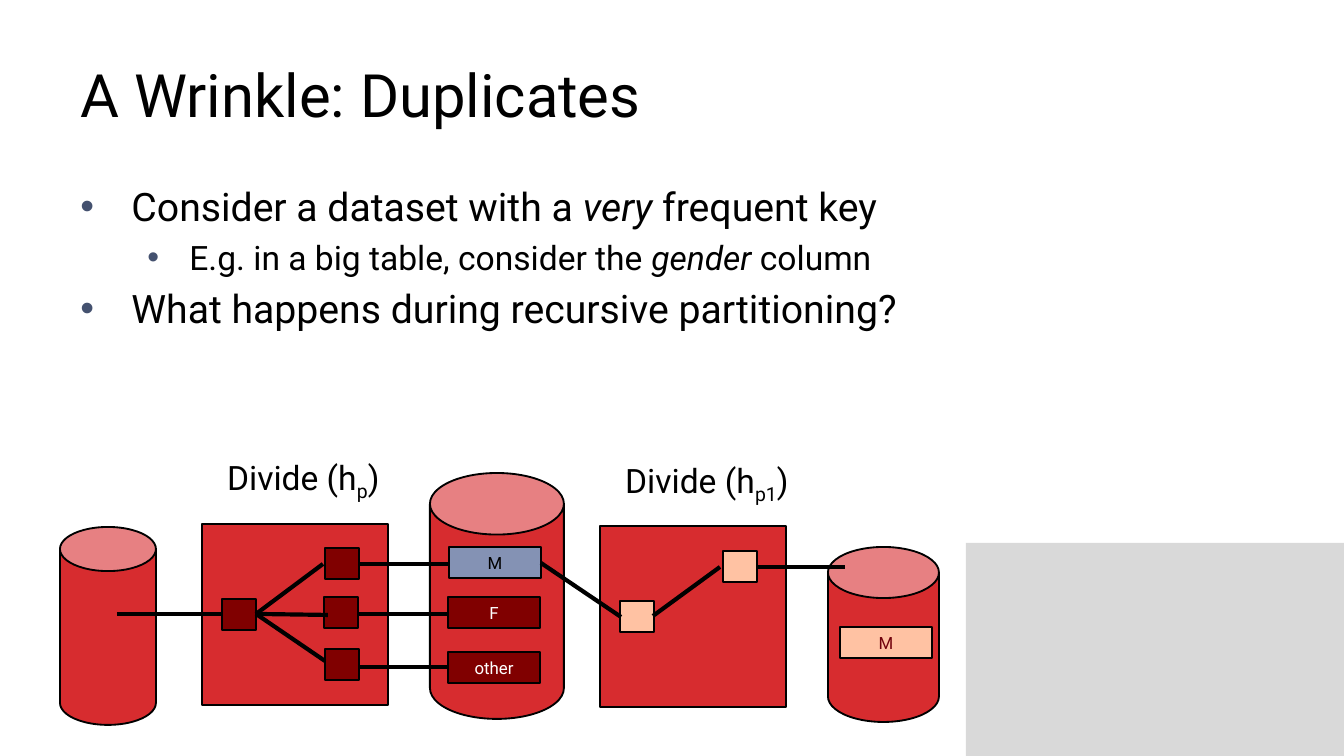
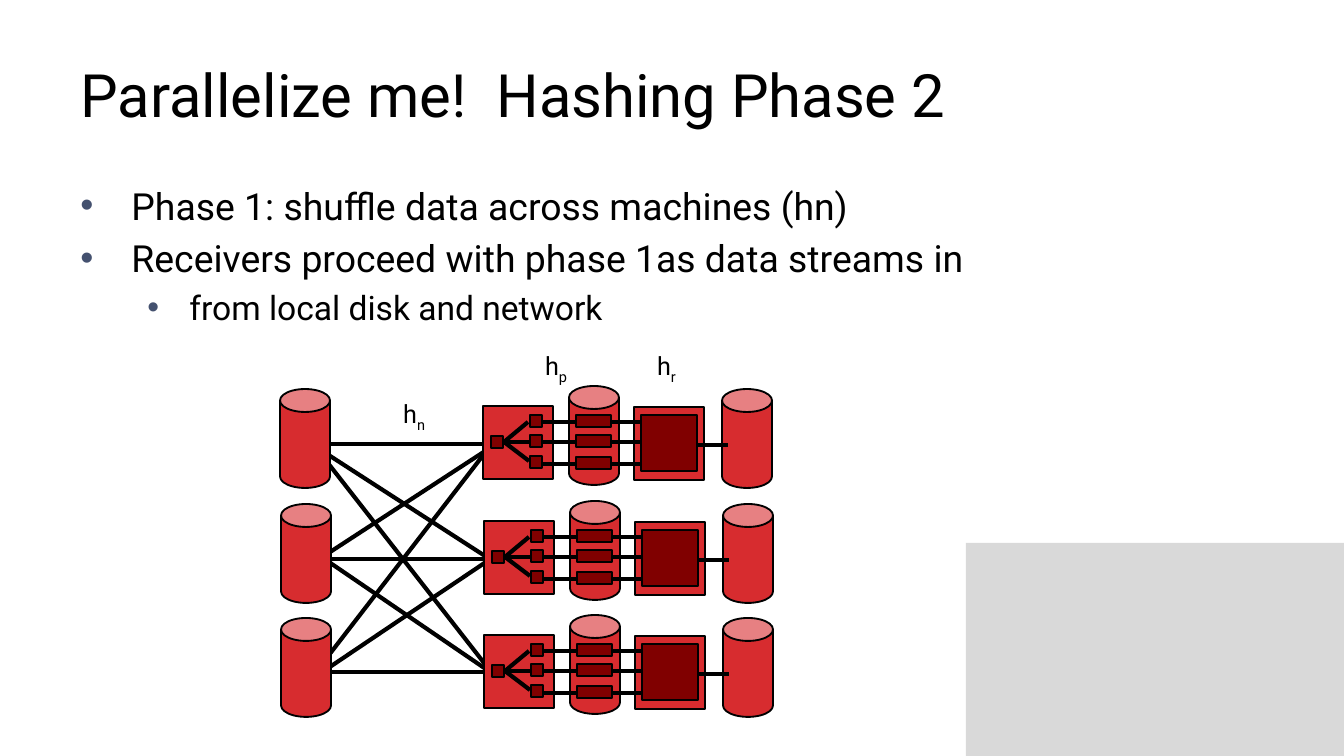
import pptx
import pptx.util
from pptx.dml.color import RGBColor
from pptx.enum.shapes import MSO_CONNECTOR, MSO_SHAPE
from pptx.enum.text import MSO_ANCHOR, MSO_AUTO_SIZE, PP_ALIGN
from pptx.oxml.ns import qn
from lxml import etree

SCALE = 914400 / 134.4
FONT = "Roboto"
BLACK = RGBColor(0x00, 0x00, 0x00)
WHITE = RGBColor(0xFF, 0xFF, 0xFF)
RED = RGBColor(0xD7, 0x2C, 0x2F)
MAROON = RGBColor(0x80, 0x00, 0x00)
WINE = RGBColor(0x71, 0x01, 0x0C)
PEACH = RGBColor(0xFF, 0xC2, 0xA3)
SLATE = RGBColor(0x84, 0x92, 0xB4)
BULLET = RGBColor(0x44, 0x51, 0x6F)
GREY = RGBColor(0xD9, 0xD9, 0xD9)

TITLE_BOX = (67, 31, 1210, 126)
BODY_BOX = (67, 176, 1210, 499)
INDENTS = [(51, -51), (109, -42)]


def px(n):
    """Turn picture pixels into EMU."""
    return pptx.util.Emu(round(n * SCALE))


def write(p, text, size=18, color=BLACK, italic=None, sub=False):
    """Add one formatted run to a paragraph."""
    r = p.add_run()
    r.text = text
    r.font.name = FONT
    r.font.size = pptx.util.Pt(size)
    r.font.color.rgb = color
    r.font.italic = italic
    if sub:
        r._r.get_or_add_rPr().set("baseline", "-25000")


def block(shapes, kind, box, fill, line=BLACK):
    """Add a filled preset shape, outlined unless line is None."""
    sp = shapes.add_shape(kind, *map(px, box))
    sp.shadow.inherit = False
    sp.fill.solid()
    sp.fill.fore_color.rgb = fill
    if line is None:
        sp.line.fill.background()
    else:
        sp.line.color.rgb = line
        sp.line.width = pptx.util.Pt(1)
    return sp


def rect(shapes, box, fill):
    """Add an outlined rectangle."""
    return block(shapes, MSO_SHAPE.RECTANGLE, box, fill)


def disk(shapes, box):
    """Add a red storage cylinder."""
    sp = block(shapes, MSO_SHAPE.CAN, box, RED)
    sp.adjustments[0] = 0.46


def partition(shapes, box, fill, text, color):
    """Add a partition rectangle with a centred label."""
    tf = rect(shapes, box, fill).text_frame
    tf.word_wrap = False
    tf.vertical_anchor = MSO_ANCHOR.MIDDLE
    p = tf.paragraphs[0]
    p.alignment = PP_ALIGN.CENTER
    write(p, text, size=9, color=color)


def wire(shapes, x1, y1, x2, y2):
    """Add a thick black straight connector."""
    c = shapes.add_connector(MSO_CONNECTOR.STRAIGHT, px(x1), px(y1), px(x2), px(y2))
    c.line.color.rgb = BLACK
    c.line.width = pptx.util.Pt(2.25)
    etree.SubElement(c.element.spPr, qn("a:effectLst"))


def hash_label(shapes, box, before, sub, after="", size=18):
    """Add a text box naming a hash function with its subscript."""
    tf = shapes.add_textbox(*map(px, box)).text_frame
    tf.word_wrap = False
    tf.auto_size = MSO_AUTO_SIZE.SHAPE_TO_FIT_TEXT
    p = tf.paragraphs[0]
    write(p, before, size=size)
    write(p, sub, size=size, sub=True)
    if after:
        write(p, after, size=size)


def set_bullet(p, level):
    """Give a paragraph its level, hanging indent and coloured bullet."""
    p.level = level
    pPr = p._p.get_or_add_pPr()
    left, hang = INDENTS[level]
    pPr.set("marL", str(px(left)))
    pPr.set("indent", str(px(hang)))
    spacing = etree.SubElement(pPr, qn("a:spcBef"))
    etree.SubElement(spacing, qn("a:spcPct")).set("val", "20000")
    color = etree.SubElement(pPr, qn("a:buClr"))
    etree.SubElement(color, qn("a:srgbClr")).set("val", str(BULLET))
    etree.SubElement(pPr, qn("a:buFont")).set("typeface", "Arial")
    etree.SubElement(pPr, qn("a:buChar")).set("char", "\u2022")


def place(sp, box):
    """Move a placeholder to a pixel box."""
    sp.left, sp.top, sp.width, sp.height = map(px, box)


def add_slide(prs, title, bullets, size):
    """Add a slide with its title and (level, runs) bullets."""
    s = prs.slides.add_slide(prs.slide_layouts[1])
    head, body = s.shapes.title, s.placeholders[1]
    place(head, TITLE_BOX)
    place(body, BODY_BOX)
    tf = head.text_frame
    tf.auto_size = MSO_AUTO_SIZE.NONE
    tf.vertical_anchor = MSO_ANCHOR.MIDDLE
    tf.paragraphs[0].alignment = PP_ALIGN.LEFT
    write(tf.paragraphs[0], title, size=32)
    tf = body.text_frame
    tf.auto_size = MSO_AUTO_SIZE.NONE
    for i, (level, runs) in enumerate(bullets):
        p = tf.add_paragraph() if i else tf.paragraphs[0]
        set_bullet(p, level)
        for text, italic in runs:
            write(p, text, size=18 if level else size, italic=italic)
    return s


def add_corner(prs, s):
    """Put the grey corner block on the layout that the slides share."""
    sp = block(s.shapes, MSO_SHAPE.RECTANGLE, (966, 543, 378, 213), GREY, line=None)
    prs.slide_layouts[1].shapes.element.append(sp.element)


def draw_recursion(shapes):
    """Draw two rounds of partitioning on a frequent key."""
    disk(shapes, (60, 527, 96, 198))
    disk(shapes, (430, 473, 134, 246))
    rect(shapes, (202, 524, 186, 181), RED)
    for x, y in [(222, 599), (325, 548), (324, 597), (325, 649)]:
        rect(shapes, (x, y, 34, 31), MAROON)
    wire(shapes, 117, 614, 222, 614)
    for x, y in [(328, 615), (323, 564), (325, 661)]:
        wire(shapes, x, y, 256, 614)
    partition(shapes, (449, 547, 92, 31), SLATE, "M", BLACK)
    partition(shapes, (448, 597, 92, 31), MAROON, "F", WHITE)
    partition(shapes, (448, 652, 92, 31), MAROON, "other", WHITE)
    for y in (564, 614, 667):
        wire(shapes, 359, y, 448, y)
    hash_label(shapes, (214, 450, 180, 54), "Divide (h", "p", ")")

    disk(shapes, (828, 547, 111, 175))
    rect(shapes, (600, 526, 186, 181), RED)
    for x, y in [(620, 601), (723, 551)]:
        rect(shapes, (x, y, 34, 31), PEACH)
    wire(shapes, 720, 567, 653, 616)
    partition(shapes, (840, 627, 92, 31), PEACH, "M", WINE)
    wire(shapes, 757, 567, 845, 567)
    hash_label(shapes, (612, 453, 192, 54), "Divide (h", "p1", ")")
    wire(shapes, 541, 563, 621, 617)


def draw_shuffle(shapes):
    """Draw the wires from every sender to every receiver."""
    for ends in [(316, 444, 488, 444), (316, 559, 496, 559), (317, 672, 493, 672),
                 (313, 445, 485, 556), (317, 449, 488, 668), (321, 558, 496, 444),
                 (321, 673, 489, 560), (323, 558, 496, 676), (319, 668, 488, 449)]:
        wire(shapes, *ends)


def draw_machine(shapes, dx, dy):
    """Draw one machine's pipeline, shifted from the top row."""
    def at(x, y, w, h):
        """Shift a box to this row."""
        return x + dx, y + dy, w, h

    def link(x1, y1, x2, y2):
        """Draw a wire shifted to this row."""
        wire(shapes, x1 + dx, y1 + dy, x2 + dx, y2 + dy)

    for x, y in [(280, 389), (569, 386), (722, 389)]:
        disk(shapes, at(x, y, 50, 99))
    for y in (415, 435, 457):
        rect(shapes, at(576, y, 35, 12), MAROON)
    group = shapes.add_group_shape().shapes
    rect(group, at(634, 407, 70, 73), RED)
    rect(group, at(641, 415, 56, 56), MAROON)
    link(728, 445, 697, 445)
    rect(shapes, at(483, 406, 70, 73), RED)
    for x, y in [(491, 436), (530, 415), (530, 435), (530, 456)]:
        rect(shapes, at(x, y, 12, 12), MAROON)
    for x, y in [(531, 442), (528, 422), (529, 461)]:
        link(x, y, 504, 442)
    for y in (422, 442, 464):
        link(542, y, 575, y)
        link(642, y, 611, y)


def main():
    """Build both slides and save them."""
    prs = pptx.Presentation()
    prs.slide_width, prs.slide_height = px(1344), px(756)

    s = add_slide(prs, "A Wrinkle: Duplicates", [
        (0, [("Consider a dataset with a ", None), ("very", True),
             (" frequent key", None)]),
        (1, [("E.g. in a big table, consider the ", None), ("gender ", True),
             ("column", None)]),
        (0, [("What happens during recursive partitioning?", None)]),
    ], size=21)
    add_corner(prs, s)
    draw_recursion(s.shapes.add_group_shape().shapes)

    s = add_slide(prs, "Parallelize me!  Hashing Phase 2", [
        (0, [("Phase 1: shuffle data across machines (hn)", None)]),
        (0, [("Receivers proceed with phase 1as data streams in", None)]),
        (1, [("from local disk and network", None)]),
    ], size=20)
    draw_shuffle(s.shapes)
    for dx, dy in [(0, 0), (1, 115), (1, 229)]:
        draw_machine(s.shapes, dx, dy)
    for x, y, w, sub in [(532, 344, 51, "p"), (644, 344, 47, "r"), (390, 392, 51, "n")]:
        hash_label(s.shapes, (x, y, w, 44), "h", sub, size=13.5)

    prs.save("out.pptx")


main()
